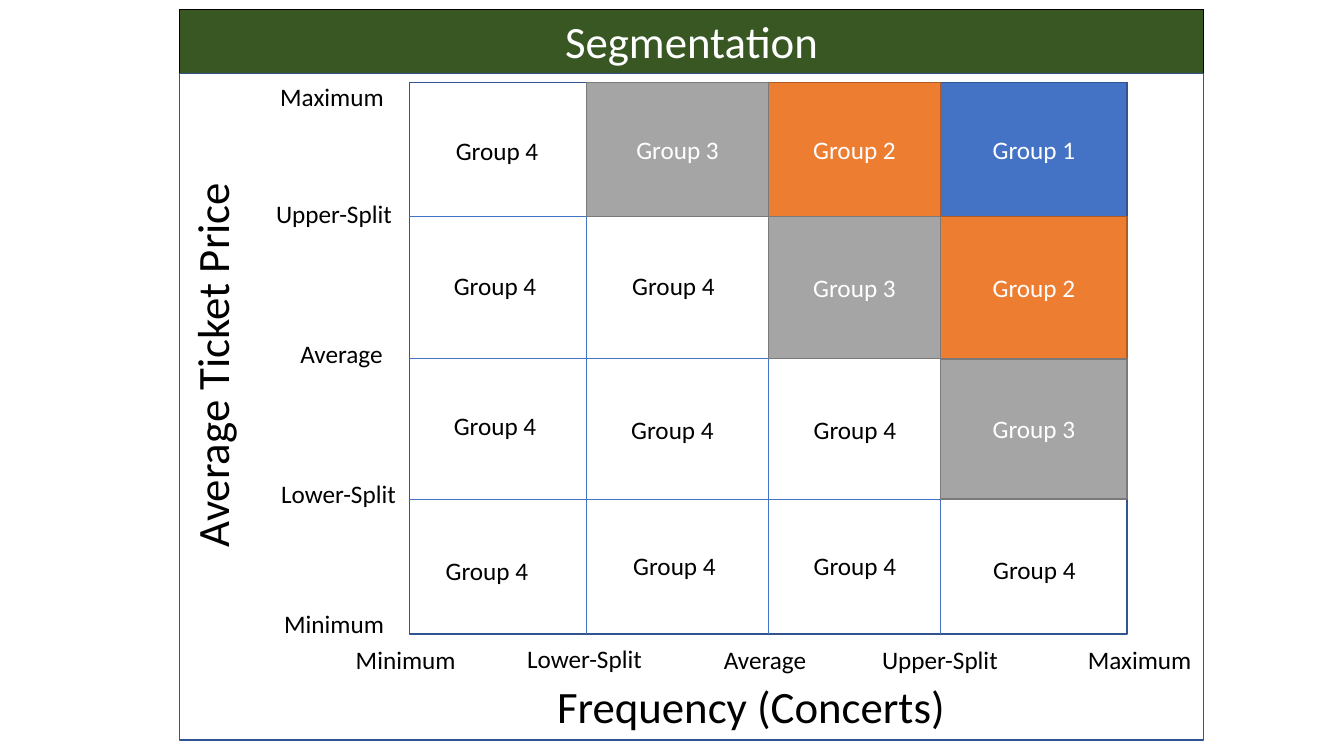
import pptx
import pptx.util
import pptx.dml.color
import pptx.enum.shapes
import pptx.enum.text
import pptx.oxml.ns
import lxml.etree

PX = 9144
COLORS = {
    "black": "000000", "white": "FFFFFF", "green": "385723",
    "blue": "4472C4", "navy": "325491", "orange": "ED7D31",
    "rust": "AF5C24", "gray": "A5A5A5", "dark gray": "7A7A7A",
}
RECT = pptx.enum.shapes.MSO_SHAPE.RECTANGLE
CENTER = pptx.enum.text.PP_ALIGN.CENTER
LEFT = pptx.enum.text.PP_ALIGN.LEFT
MIDDLE = pptx.enum.text.MSO_ANCHOR.MIDDLE
TOP = pptx.enum.text.MSO_ANCHOR.TOP


def write(sp, text, size=18, color="black", align=CENTER, anchor=TOP):
    tf = sp.text_frame
    tf.word_wrap = True
    tf.auto_size = pptx.enum.text.MSO_AUTO_SIZE.NONE
    tf.vertical_anchor = anchor
    p = tf.paragraphs[0]
    p.text = text
    p.alignment = align
    p.line_spacing = 1.0
    p.font.name = "Calibri"
    p.font.size = pptx.util.Pt(size)
    p.font.color.rgb = pptx.dml.color.RGBColor.from_string(COLORS[color])


def paint(sp, fill, line, width=1):
    if fill:
        sp.fill.solid()
        sp.fill.fore_color.rgb = pptx.dml.color.RGBColor.from_string(COLORS[fill])
    else:
        sp.fill.background()
    sp.line.color.rgb = pptx.dml.color.RGBColor.from_string(COLORS[line])
    sp.line.width = pptx.util.Pt(width)
    sp.shadow.inherit = False


prs = pptx.Presentation()
prs.slide_width = 1333 * PX
prs.slide_height = 750 * PX
s = prs.slides.add_slide(prs.slide_layouts[5])

title = s.shapes.title
title.left, title.top, title.width, title.height = [v * PX for v in (178, 9, 1016, 64)]
paint(title, "green", "black", 0.75)
write(title, "Segmentation", 32, "white")

panel = s.shapes.add_shape(RECT, 178 * PX, 73 * PX, 1016 * PX, 661 * PX)
paint(panel, None, "navy")

xs = [406, 582, 762, 933, 1118]
ys = [82, 215, 356, 495, 629]
grid = s.shapes.add_shape(RECT, xs[0] * PX, ys[0] * PX, (xs[-1] - xs[0]) * PX, (ys[-1] - ys[0]) * PX)
paint(grid, None, "navy")

dividers = [(x, ys[0], x, ys[-1]) for x in xs[1:-1]] + [(xs[0], y, xs[-1], y) for y in ys[1:-1]]
for ends in dividers:
    line = s.shapes.add_connector(pptx.enum.shapes.MSO_CONNECTOR.STRAIGHT, *[v * PX for v in ends])
    line.line.color.rgb = pptx.dml.color.RGBColor.from_string(COLORS["blue"])
    line.line.width = pptx.util.Pt(0.5)
    lxml.etree.SubElement(line._element.spPr, pptx.oxml.ns.qn("a:effectLst"))
    if ends[0] == xs[2]:
        line.begin_connect(grid, 0)
        line.end_connect(grid, 2)
    elif ends[1] == ys[2]:
        line.begin_connect(grid, 1)
        line.end_connect(grid, 3)

label_widths = {"Minimum": 125, "Lower-Split": 137, "Average": 109, "Upper-Split": 137, "Maximum": 125}
price_spots = [(272, 599), (269, 470), (288, 331), (264, 192), (268, 76)]
frequency_spots = [(343, 634), (513, 633), (708, 634), (865, 634), (1069, 634)]
for spots in (price_spots, frequency_spots):
    for (text, width), (x, y) in zip(label_widths.items(), spots):
        label = s.shapes.add_textbox(x * PX, y * PX, width * PX, 40 * PX)
        write(label, text, align=LEFT)

for text, x, y, angle in (("Frequency (Concerts)", 454, 668, 0), ("Average Ticket Price", -81, 330, 270)):
    axis = s.shapes.add_textbox(x * PX, y * PX, 582 * PX, 64 * PX)
    axis.rotation = angle
    write(axis, text, 32)

styles = {1: ("blue", "navy"), 2: ("orange", "rust"), 3: ("gray", "dark gray")}
group_4_spots = [
    [(425, 129)],
    [(423, 263), (600, 263)],
    [(423, 402), (599, 406), (780, 406)],
    [(415, 546), (601, 541), (780, 541), (958, 545)],
]
for row, spots in enumerate(group_4_spots):
    for x, y in spots:
        cell = s.shapes.add_textbox(x * PX, y * PX, 136 * PX, 40 * PX)
        write(cell, "Group 4")
    for col in range(3, row, -1):
        group = 1 + row + 3 - col
        x, y = xs[col], ys[row]
        cell = s.shapes.add_shape(RECT, x * PX, y * PX, (xs[col + 1] - x) * PX, (ys[row + 1] - y) * PX)
        paint(cell, *styles[group])
        write(cell, f"Group {group}", color="white", anchor=MIDDLE)

prs.save("out.pptx")
